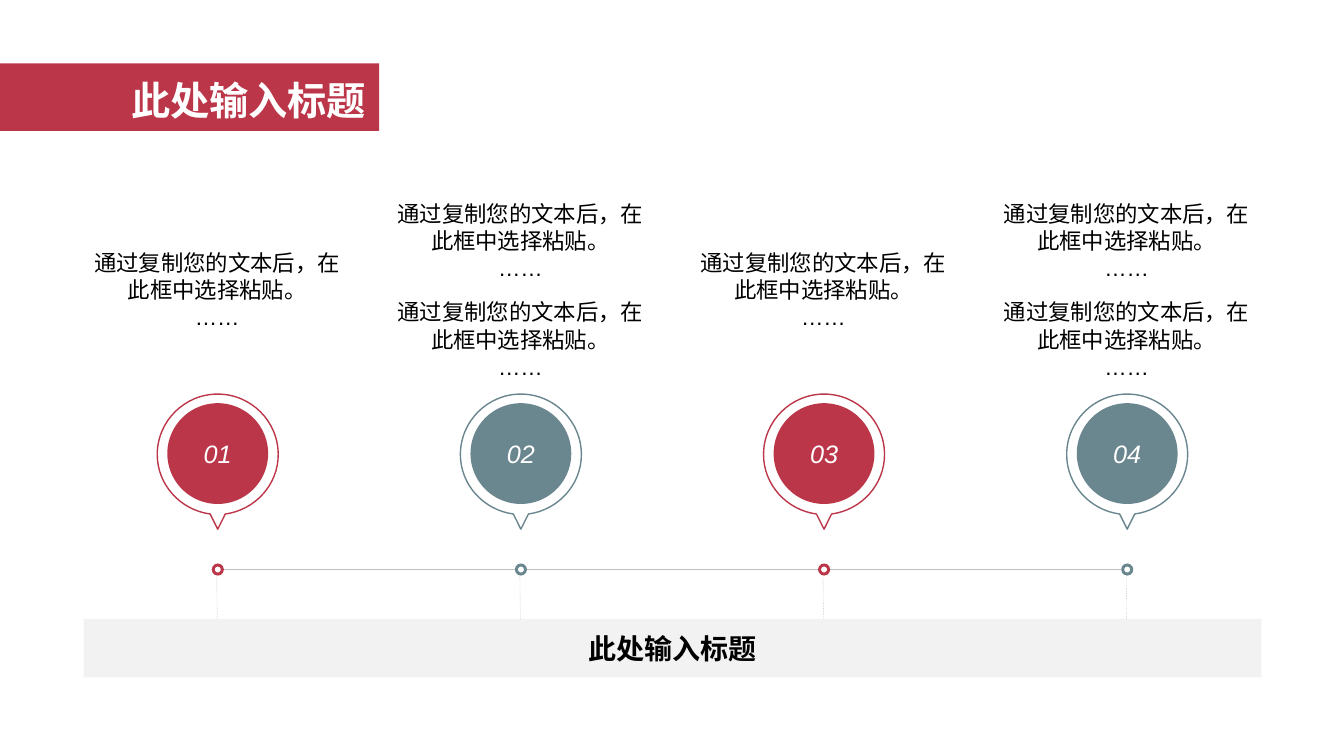
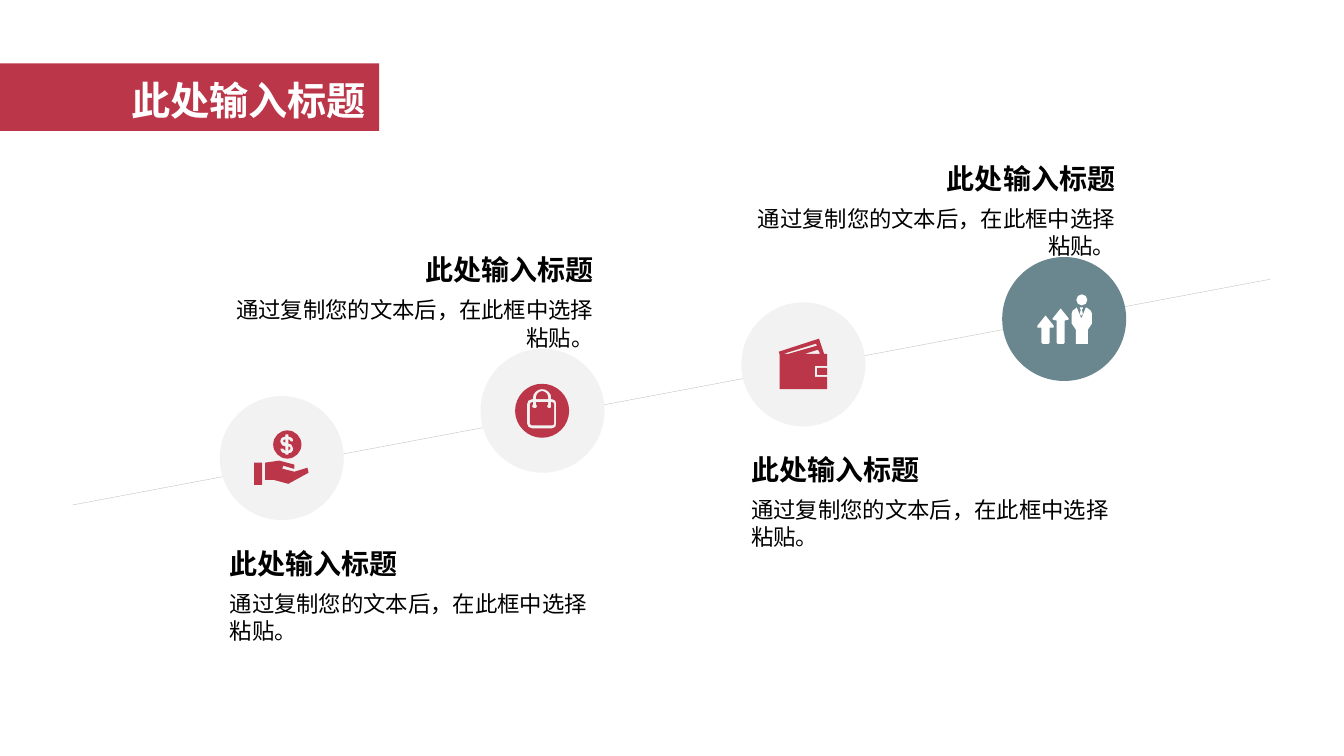
from dataclasses import dataclass

from lxml import etree
from pptx import Presentation
from pptx.dml.color import RGBColor
from pptx.enum.dml import MSO_LINE
from pptx.enum.lang import MSO_LANGUAGE_ID
from pptx.enum.shapes import MSO_CONNECTOR, MSO_SHAPE
from pptx.enum.text import MSO_ANCHOR, MSO_AUTO_SIZE, PP_ALIGN
from pptx.oxml.ns import qn
from pptx.shapes.autoshape import Shape
from pptx.slide import Slide
from pptx.text.text import TextFrame
from pptx.util import Inches, Pt

LEFT, CENTER, RIGHT = PP_ALIGN.LEFT, PP_ALIGN.CENTER, PP_ALIGN.RIGHT
TOP, MIDDLE, BOTTOM = MSO_ANCHOR.TOP, MSO_ANCHOR.MIDDLE, MSO_ANCHOR.BOTTOM
RECTANGLE, OVAL, DONUT = MSO_SHAPE.RECTANGLE, MSO_SHAPE.OVAL, MSO_SHAPE.DONUT
STRAIGHT, DASH = MSO_CONNECTOR.STRAIGHT, MSO_LINE.DASH
CHINESE = MSO_LANGUAGE_ID.SIMPLIFIED_CHINESE

COLORS = {
    "red": "BC3649", "teal": "6A868F", "pale": "F2F2F2",
    "rule": "BFBFBF", "black": "000000", "white": "FFFFFF",
}
BODY_FONT, TITLE_FONT = "Arial", "Noto Sans CJK SC"
TITLE_ONLY = 5
HEADING = "此处输入标题"
BODY = "通过复制您的文本后，在此框中选择粘贴。"

Point = tuple[float, float]
# A contour runs through points; six numbers are two control points and an end point
Contour = list[tuple[float, ...]]


@dataclass(frozen=True)
class TextStyle:
    size: float
    color: str = "black"
    font: str = BODY_FONT
    bold: bool = False
    italic: bool = False
    line_height: float | None = None


TITLE_STYLE = TextStyle(28, "white", TITLE_FONT, bold=True)
HEADING_STYLE = TextStyle(20, bold=True, line_height=24)
BODY_STYLE = TextStyle(16, line_height=19.4)
NUMBER_STYLE = TextStyle(18, "white", italic=True)


@dataclass(frozen=True)
class Milestone:
    number: str
    color: str
    notes: int


@dataclass(frozen=True)
class Step:
    contours: list[Contour]
    top: float
    icon_offset: Point
    icon_color: str
    disc_color: str
    text_above: bool


def ring(cx: float, cy: float, radius: float) -> Contour:
    """Circle of four curves."""
    k = 0.55 * radius
    east, west, north, south = cx + radius, cx - radius, cy - radius, cy + radius
    return [
        (cx, north),
        (cx + k, north, east, cy - k, east, cy),
        (east, cy + k, cx + k, south, cx, south),
        (cx - k, south, west, cy + k, west, cy),
        (west, cy - k, cx - k, north, cx, north),
    ]


# Outlines, in hundredths of an inch
PIN = [[
    (0, -60), (-33, -60, -60, -33, -60, 0), (-60, 30, -37, 55, -7.5, 59),
    (0, 74), (7.5, 59), (37, 55, 60, 30, 60, 0), (60, -33, 33, -60, 0, -60),
]]
HAND_WITH_COIN = [
    [(0, 32), (8, 32), (8, 54), (0, 54)],
    [(25, 30), (40, 34), (40, 38), (39, 38), (29, 35), (28, 38), (40, 41), (53, 37),
     (54, 42), (34, 53), (19, 49), (11, 49), (11, 32)],
    ring(33, 14, 14),
    [(31, 4), (31, 6), (30, 6, 29, 6, 28, 7), (27, 7, 26, 9, 26, 11),
     (26, 12, 27, 14, 28, 15), (29, 15, 30, 16, 31, 16), (31, 20),
     (29, 19, 29, 18, 29, 18), (26, 18), (26, 20, 27, 21, 28, 22),
     (29, 22, 30, 23, 31, 23), (31, 24), (34, 24), (34, 23),
     (35, 23, 36, 22, 37, 22), (38, 21, 39, 20, 39, 18), (39, 16, 38, 15, 37, 14),
     (36, 13, 35, 13, 34, 13), (34, 9), (36, 9, 36, 10, 36, 11), (39, 11),
     (39, 9, 38, 7, 37, 7), (36, 6, 35, 6, 34, 6), (34, 4)],
    [(34, 16), (36, 16, 36, 17, 36, 18), (36, 18, 36, 19, 34, 20)],
    [(31, 9), (31, 12), (29, 12, 29, 11, 29, 11), (29, 10, 29, 9, 31, 9)],
]
SHOPPING_BAG = [
    [(17, 18), (18, 18), (18, 20), (18, 21, 17, 21, 17, 22), (17, 23, 18, 24, 20, 24),
     (21, 24, 22, 23, 22, 22), (22, 21, 21, 21, 21, 20), (21, 18), (33, 18), (33, 20),
     (33, 21, 32, 21, 32, 22), (32, 23, 33, 24, 34, 24), (36, 24, 36, 23, 36, 22),
     (36, 21, 36, 21, 36, 20), (36, 18), (37, 18), (38, 18, 39, 19, 39, 20), (39, 39),
     (39, 40, 38, 41, 37, 41), (17, 41), (16, 41, 15, 40, 15, 39), (15, 20),
     (15, 19, 16, 18, 17, 18)],
    [(27, 7), (30, 7, 33, 10, 33, 13), (33, 15), (21, 15), (21, 13),
     (21, 10, 24, 7, 27, 7)],
    [(27, 5), (22, 5, 18, 9, 18, 13), (18, 15), (17, 15), (14, 15, 12, 17, 12, 20),
     (12, 39), (12, 42, 14, 44, 17, 44), (37, 44), (40, 44, 41, 42, 41, 39), (41, 20),
     (41, 17, 40, 15, 37, 15), (36, 15), (36, 13), (36, 9, 32, 5, 27, 5)],
    ring(27, 26.5, 26.8),
]
WALLET = [
    [(38, 29), (48, 29), (48, 36), (38, 36)],
    [(39, 11), (26, 15), (41, 15)],
    [(37, 5), (5, 15), (10, 15), (38, 7)],
    [(40, 0), (45, 15), (48, 15), (48, 27), (36, 27), (36, 38), (48, 38), (48, 50),
     (1, 50), (1, 16), (0, 13)],
]
GROWTH_MANAGER = [
    [(8, 21), (16, 31), (16, 33), (12, 33), (12, 48), (11, 49), (5, 49), (4, 48),
     (4, 33), (0, 33), (0, 31)],
    [(23, 14), (31, 24), (31, 25), (27, 26), (27, 48), (26, 49), (20, 49), (19, 48),
     (19, 26), (15, 25), (15, 24)],
    [(39, 13), (43, 23), (44, 23), (48, 13), (50, 14), (52, 15, 54, 17, 54, 19),
     (54, 29), (50, 35), (50, 49), (38, 49), (38, 35), (34, 29), (34, 19),
     (34, 17, 35, 15, 38, 14)],
    [(42, 13), (45, 13), (45, 14), (44, 15), (45, 19), (44, 21), (43, 21), (42, 19),
     (43, 15), (42, 14)],
    ring(44, 5.5, 5.5),
]

MILESTONES = [
    Milestone("01", "red", 1), Milestone("02", "teal", 2),
    Milestone("03", "red", 1), Milestone("04", "teal", 2),
]
STEPS = [
    Step(HAND_WITH_COIN, 3.93, (0.34, 0.34), "red", "pale", False),
    Step(SHOPPING_BAG, 3.46, (0.34, 0.35), "red", "pale", True),
    Step(WALLET, 3.0, (0.37, 0.36), "red", "pale", False),
    Step(GROWTH_MANAGER, 2.55, (0.35, 0.37), "white", "teal", True),
]


def rgb(color: str) -> RGBColor:
    return RGBColor.from_string(COLORS[color])


def spread(first: float, last: float, index: int, count: int) -> float:
    """Position of one of count evenly spaced items."""
    return first + index * (last - first) / (count - 1)


def write(frame: TextFrame, text: str, style: TextStyle, align: PP_ALIGN,
          anchor: MSO_ANCHOR = TOP) -> None:
    frame.text = text
    frame.word_wrap = True
    frame.vertical_anchor = anchor
    for paragraph in frame.paragraphs:
        paragraph.alignment = align
        if style.line_height:
            paragraph.line_spacing = Pt(style.line_height)
        for run in paragraph.runs:
            font = run.font
            font.name, font.size = style.font, Pt(style.size)
            font.bold, font.italic = style.bold, style.italic
            font.color.rgb = rgb(style.color)
            font.language_id = CHINESE
            east_asian = etree.SubElement(run._r.get_or_add_rPr(), qn("a:ea"))
            east_asian.set("typeface", style.font)


def add_text(slide: Slide, x: float, y: float, width: float, height: float, text: str,
             style: TextStyle, align: PP_ALIGN, anchor: MSO_ANCHOR = TOP) -> None:
    box = slide.shapes.add_textbox(Inches(x), Inches(y), Inches(width), Inches(height))
    write(box.text_frame, text, style, align, anchor)


def add_filled(slide: Slide, kind: MSO_SHAPE, x: float, y: float, width: float,
               height: float, color: str) -> Shape:
    shape = slide.shapes.add_shape(
        kind, Inches(x), Inches(y), Inches(width), Inches(height))
    shape.shadow.inherit = False
    shape.fill.solid()
    shape.fill.fore_color.rgb = rgb(color)
    shape.line.fill.background()
    return shape


def add_rule(slide: Slide, start: Point, end: Point, dashed: bool = False) -> None:
    rule = slide.shapes.add_connector(
        STRAIGHT, *(Inches(value) for value in (*start, *end)))
    rule.line.color.rgb = rgb("rule")
    rule.line.width = Pt(0.25)
    if dashed:
        rule.line.dash_style = DASH
    etree.SubElement(rule._element.spPr, qn("a:effectLst"))


def add_outline(slide: Slide, x: float, y: float, contours: list[Contour]) -> Shape:
    """Freeform of straight and curved segments, placed from (x, y)."""
    def place(point: tuple[float, ...]) -> Point:
        return Inches(x + point[0] / 100), Inches(y + point[1] / 100)

    builder = slide.shapes.build_freeform(*place(contours[0][0]))
    for index, contour in enumerate(contours):
        if index:
            builder.move_to(*place(contour[0]))
        builder.add_line_segments([place(s[-2:]) for s in contour[1:]], close=True)
    shape = builder.convert_to_shape()
    shape.shadow.inherit = False

    segments = [segment for contour in contours for segment in contour[1:]]
    drawn = list(shape._element.iter(qn("a:lnTo")))
    for segment, element in zip(segments, drawn):
        if len(segment) == 6:
            element.tag = qn("a:cubicBezTo")
            for position, control in enumerate((segment[:2], segment[2:4])):
                px, py = place(control)
                handle = etree.Element(qn("a:pt"))
                handle.set("x", str(px - shape.left))
                handle.set("y", str(py - shape.top))
                element.insert(position, handle)
    return shape


def add_titled_slide(deck: Presentation) -> Slide:
    slide = deck.slides.add_slide(deck.slide_layouts[TITLE_ONLY])
    title = slide.shapes.title
    band = add_filled(slide, RECTANGLE, 0, 0.63, 3.76, 0.67, "red")
    title._element.addprevious(band._element)
    title.left, title.top = Inches(1.11), Inches(0.71)
    title.width, title.height = Inches(2.62), Inches(0.57)
    write(title.text_frame, HEADING, TITLE_STYLE, RIGHT, MIDDLE)
    title.text_frame.word_wrap = False
    title.text_frame.auto_size = MSO_AUTO_SIZE.NONE
    return slide


def add_pin(slide: Slide, x: float, milestone: Milestone) -> None:
    pin = add_outline(slide, x, 4.51, PIN)
    pin.fill.background()
    pin.line.color.rgb = rgb(milestone.color)
    pin.line.width = Pt(1)
    disc = add_filled(slide, OVAL, x - 0.5, 4, 1, 1, milestone.color)
    write(disc.text_frame, milestone.number, NUMBER_STYLE, CENTER, MIDDLE)


def build_timeline(deck: Presentation) -> None:
    slide = add_titled_slide(deck)
    axis_y, dot, note_pitch = 5.65, 0.12, 0.98
    centers = [spread(2.16, 11.18, i, len(MILESTONES)) for i in range(len(MILESTONES))]
    for x, milestone in zip(centers, MILESTONES):
        for note in range(milestone.notes):
            y = 2.42 + (note - (milestone.notes - 1) / 2) * note_pitch
            add_text(slide, x - 1.42, y, 2.83, 0.89, f"{BODY}\n……", BODY_STYLE, CENTER)
    for x, next_x in zip(centers, centers[1:]):
        add_rule(slide, (x + dot / 2, axis_y), (next_x - dot / 2, axis_y))
    for x, milestone in zip(centers, MILESTONES):
        add_rule(slide, (x - 0.01, axis_y + dot / 2), (x, 6.72), dashed=True)
        add_pin(slide, x, milestone)
        add_filled(slide, DONUT, x - dot / 2, axis_y - dot / 2, dot, dot, milestone.color)
    summary = add_filled(slide, RECTANGLE, 0.83, 6.14, 11.68, 0.58, "pale")
    write(summary.text_frame, HEADING, HEADING_STYLE, CENTER, MIDDLE)


def build_rising_steps(deck: Presentation) -> None:
    slide = add_titled_slide(deck)
    add_rule(slide, (0.72, 5.01), (12.6, 2.77))
    for index, step in enumerate(STEPS):
        x, y = spread(2.18, 9.94, index, len(STEPS)), step.top
        add_filled(slide, OVAL, x, y, 1.23, 1.23, step.disc_color)
        dx, dy = step.icon_offset
        icon = add_outline(slide, x + dx, y + dy, step.contours)
        icon.fill.solid()
        icon.fill.fore_color.rgb = rgb(step.icon_color)
        icon.line.fill.background()

        text_x, text_y, align = (
            (x - 2.66, y - 1.05, RIGHT) if step.text_above else (x, y + 1.39, LEFT))
        add_text(slide, text_x, text_y, 3.88, 0.48, HEADING, HEADING_STYLE, align, BOTTOM)
        add_text(slide, text_x, text_y + 0.48, 3.88, 0.43, BODY, BODY_STYLE, align)


def main() -> None:
    deck = Presentation()
    deck.slide_width, deck.slide_height = Inches(13.33), Inches(7.5)
    build_timeline(deck)
    build_rising_steps(deck)
    deck.save("out.pptx")


if __name__ == "__main__":
    main()
